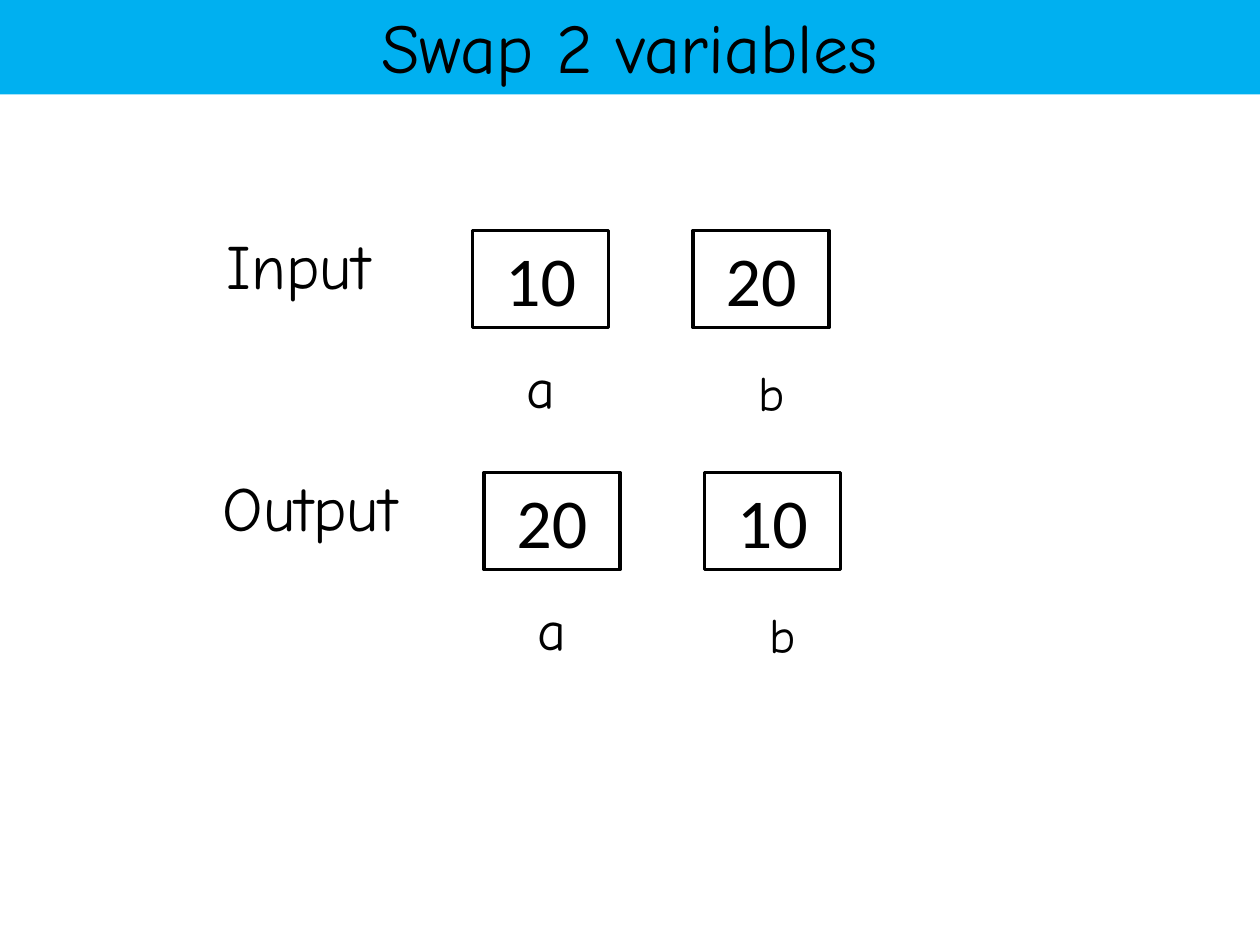
import pptx
import pptx.dml.color
import pptx.enum.shapes
import pptx.enum.text
import pptx.util

Inches = pptx.util.Inches
BLACK = "000000"
WHITE = "FFFFFF"
BLUE = "00B0F0"
ALIGN = pptx.enum.text.PP_ALIGN
ANCHOR = pptx.enum.text.MSO_ANCHOR
AUTO_SIZE = pptx.enum.text.MSO_AUTO_SIZE

LABEL_FORMAT = {"name": "Comic Neue", "size": pptx.util.Pt(36)}
VALUE_FORMAT = {"name": "Calibri", "size": pptx.util.Pt(40)}
TITLE_FORMAT = {"name": "Comic Neue", "size": pptx.util.Pt(40)}


def color(hex_string):
    return pptx.dml.color.RGBColor.from_string(hex_string)


def fill_solid(shape, hex_string):
    shape.fill.solid()
    shape.fill.fore_color.rgb = color(hex_string)


def write_text(shape, text, font_format, alignment, anchor=ANCHOR.TOP):
    frame = shape.text_frame
    frame_format = {
        "word_wrap": True,
        "auto_size": AUTO_SIZE.NONE,
        "vertical_anchor": anchor,
    }
    for attribute, value in frame_format.items():
        setattr(frame, attribute, value)
    paragraph = frame.paragraphs[0]
    paragraph.alignment = alignment
    run = paragraph.add_run()
    run.text = text
    for attribute, value in font_format.items():
        setattr(run.font, attribute, value)
    run.font.color.rgb = color(BLACK)


def add_title(slide, left, top, width, height):
    title = slide.shapes.title
    box = {"left": left, "top": top, "width": width, "height": height}
    for attribute, value in box.items():
        setattr(title, attribute, Inches(value))
    fill_solid(title, BLUE)
    write_text(title, "Swap 2 variables", TITLE_FORMAT, ALIGN.CENTER, ANCHOR.MIDDLE)


def add_box(slide, text, left, top, width, height, font_format, outlined):
    box = slide.shapes.add_shape(
        pptx.enum.shapes.MSO_SHAPE.RECTANGLE,
        Inches(left), Inches(top), Inches(width), Inches(height),
    )
    box.shadow.inherit = False
    fill_solid(box, WHITE)
    if outlined:
        box.line.color.rgb = color(BLACK)
        box.line.width = pptx.util.Pt(2)
    else:
        box.line.fill.background()
    write_text(box, text, font_format, ALIGN.CENTER)


def add_variable_name(slide, text, left, top, width, height, size):
    name_box = slide.shapes.add_textbox(
        Inches(left), Inches(top), Inches(width), Inches(height)
    )
    font_format = {"name": "Comic Neue", "size": pptx.util.Pt(size)}
    write_text(name_box, text, font_format, ALIGN.LEFT)


def add_variables_row(slide, label, values, left, top):
    add_box(slide, label, left, top, 2.08, 0.71, LABEL_FORMAT, False)
    for index, value in enumerate(values):
        value_left = left + 2.42 + 1.75 * index
        add_box(slide, value, value_left, top + 0.08, 1.08, 0.77, VALUE_FORMAT, True)
    add_variable_name(slide, "a", left + 2.75, top + 1, 0.5, 0.64, 32)
    add_variable_name(slide, "b", left + 4.59, top + 1.08, 1.08, 0.57, 28)


def main():
    presentation = pptx.Presentation()
    presentation.slide_width = Inches(10)
    presentation.slide_height = Inches(7.5)
    slide = presentation.slides.add_slide(presentation.slide_layouts[5])
    add_title(slide, -0.01, -0.03, 10.01, 0.78)
    add_variables_row(slide, "Input", ["10", "20"], 1.33, 1.75)
    add_variables_row(slide, "Output", ["20", "10"], 1.42, 3.67)
    presentation.save("out.pptx")


if __name__ == "__main__":
    main()
